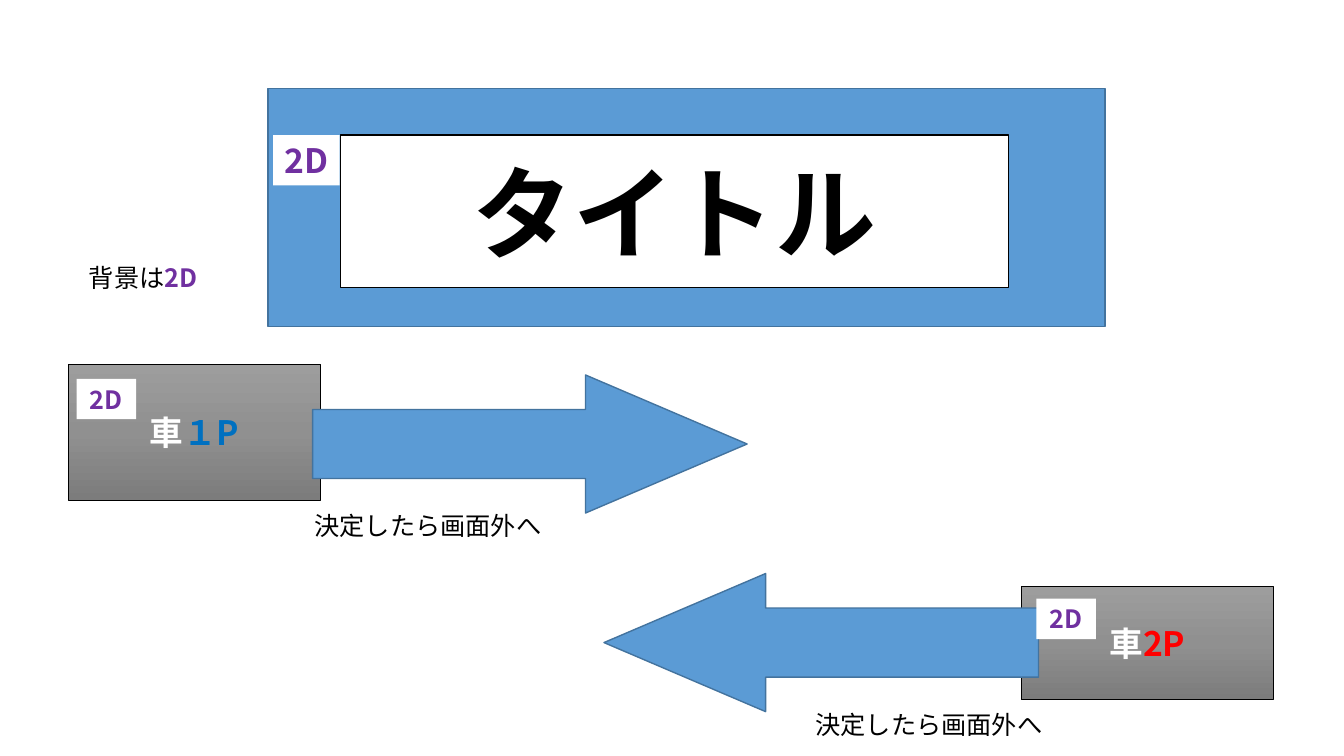
from copy import deepcopy

from pptx import Presentation
from pptx.dml.color import RGBColor
from pptx.enum.shapes import MSO_SHAPE
from pptx.enum.text import MSO_ANCHOR, PP_ALIGN
from pptx.oxml.ns import qn
from pptx.util import Inches, Pt

RECT, ARROW = MSO_SHAPE.RECTANGLE, MSO_SHAPE.RIGHT_ARROW
MIDDLE = MSO_ANCHOR.MIDDLE
LEFT, CENTER = PP_ALIGN.LEFT, PP_ALIGN.CENTER
FONT = "Noto Sans CJK JP"

BLACK = RGBColor(0x00, 0x00, 0x00)
WHITE = RGBColor(0xFF, 0xFF, 0xFF)
SKY = RGBColor(0x5B, 0x9B, 0xD5)
EDGE = RGBColor(0x43, 0x73, 0x9E)
BLUE = RGBColor(0x00, 0x70, 0xC0)
RED = RGBColor(0xFF, 0x00, 0x00)
PURPLE = RGBColor(0x70, 0x30, 0xA0)
GRAYS = [RGBColor(0x9D, 0x9D, 0x9D), RGBColor(0x90, 0x90, 0x90),
         RGBColor(0x7C, 0x7C, 0x7C)]


def write(shape, runs, size, align=CENTER, wrap=True):
    """Fill a shape with one line of (text, colour, bold) runs."""
    frame = shape.text_frame
    frame.word_wrap = wrap
    frame.vertical_anchor = MIDDLE
    line = frame.paragraphs[0]
    line.alignment = align
    for text, color, bold in runs:
        run = line.add_run()
        run.text = text
        form = {"name": FONT, "size": Pt(size), "bold": bold}
        for key, value in form.items():
            setattr(run.font, key, value)
        run.font.color.rgb = color
        east = run.font._element.makeelement(qn("a:ea"), {"typeface": FONT})
        run.font._element.append(east)


def draw(slide, kind, box, fill=None, edge=None, width=1):
    shape = slide.shapes.add_shape(kind, *map(Inches, box))
    shape.shadow.inherit = False
    if fill is not None:
        shape.fill.solid()
        shape.fill.fore_color.rgb = fill
    if edge is None:
        shape.line.fill.background()
    else:
        shape.line.color.rgb = edge
        shape.line.width = Pt(width)
    return shape


def shade(shape):
    """Three grays from top to bottom."""
    shape.fill.gradient()
    shape.fill.gradient_angle = 270
    first = shape.fill.gradient_stops[0]._gs
    first.addnext(deepcopy(first))
    for i, stop in enumerate(shape.fill.gradient_stops):
        stop.position = i / 2
        stop.color.rgb = GRAYS[i]


def add_car(slide, box, player, color):
    car = draw(slide, RECT, box, edge=BLACK, width=0.5)
    shade(car)
    write(car, [("車", WHITE, True), (player, color, True)], 24)


def add_arrow(slide, left, top, turn=0):
    arrow = draw(slide, ARROW, (left, top, 4.31, 1.37), SKY, EDGE)
    arrow.adjustments[1] = 1.17
    arrow.rotation = turn


def add_note(slide, box, runs, align=LEFT):
    note = slide.shapes.add_textbox(*map(Inches, box))
    write(note, runs, 18, align)


def add_tag(slide, box, size=18):
    tag = draw(slide, RECT, box, WHITE)
    write(tag, [("2D", PURPLE, True)], size, wrap=False)


def add_title(slide, box):
    left, top, wide, high = box
    draw(slide, RECT, box, SKY, EDGE)
    panel = draw(slide, RECT, (left + 0.72, top + 0.46, wide - 1.68,
                               high - 0.85), WHITE, BLACK)
    write(panel, [("タイトル", BLACK, True)], 72)
    add_tag(slide, (left + 0.05, top + 0.46, 0.66, 0.5), 24)


def build(slide):
    # Cars, behind the arrows
    cars = [((0.68, 3.61, 2.5, 1.35), "１P", BLUE, (0.08, 0.15)),
            ((10.13, 5.82, 2.5, 1.12), "2P", RED, (0.15, 0.12))]
    for box, player, color, _ in cars:
        add_car(slide, box, player, color)

    # Title banner and background note
    add_title(slide, (2.66, 0.88, 8.3, 2.36))
    add_note(slide, (0.43, 2.55, 1.98, 0.4),
             [("背景は", BLACK, False), ("2D", PURPLE, True)], CENTER)

    # Exit arrows with their notes
    add_arrow(slide, 3.1, 3.72)
    add_arrow(slide, 5.99, 5.69, 180)
    for left, top in ((3.02, 5.01), (7.99, 6.99)):
        add_note(slide, (left, top, 2.58, 0.4),
                 [("決定したら画面外へ", BLACK, False)])

    # Car tags, in front of the arrows
    for (left, top, _, _), _, _, (dx, dy) in cars:
        add_tag(slide, (left + dx, top + dy, 0.59, 0.4))


def main():
    deck = Presentation()
    deck.slide_width, deck.slide_height = Inches(13.33), Inches(7.5)
    build(deck.slides.add_slide(deck.slide_layouts[6]))
    deck.save("out.pptx")


if __name__ == "__main__":
    main()
